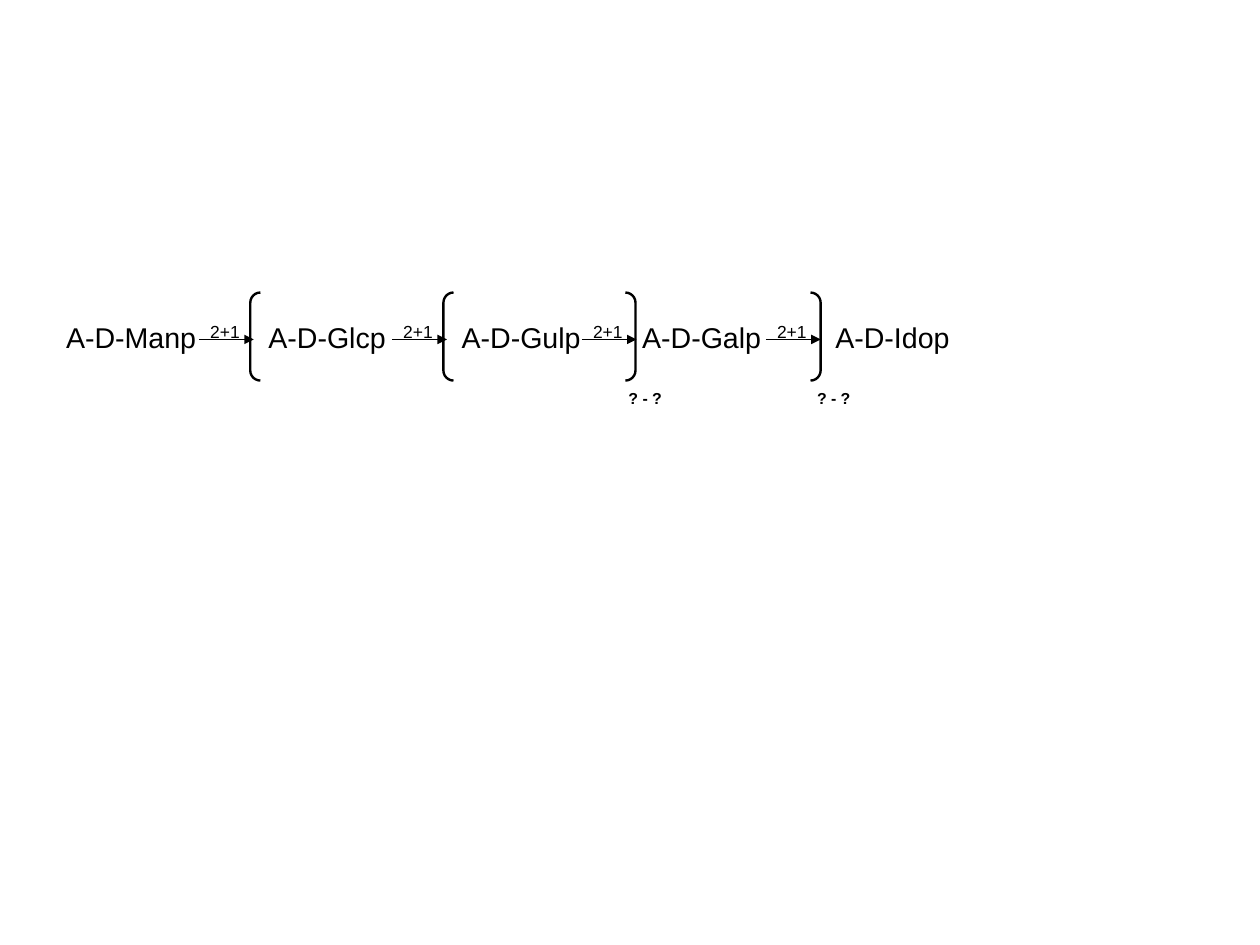
from lxml import etree
from pptx import Presentation
from pptx.dml.color import RGBColor
from pptx.enum import shapes, text
from pptx.oxml.ns import qn
from pptx.util import Cm, Inches, Pt

SUGARS = [
    ("A-D-Manp", 0.48, 1.4),
    ("A-D-Glcp", 2.25, 1.24),
    ("A-D-Gulp", 3.94, 1.28),
    ("A-D-Galp", 5.52, 1.26),
    ("A-D-Idop", 7.21, 1.25),
]
LINKAGE = "2+1"
LINKAGE_LEFTS = [1.74, 3.43, 5.09, 6.7]
REPEAT = "? - ?"
REPEAT_LEFTS = [5.4, 7.05]
BRACKETS = [(2.19, 3.37), (3.88, 3.3)]

BRACKET_TOP, BRACKET_HEIGHT = 2.56, 0.77
ARROW_Y, ARROW_LENGTH = 2.97, 0.48

THEME = {
    "ink": RGBColor(0, 0, 0),
    "font": "Arial",
    "sugar": {"size": Pt(18), "bold": False},
    "linkage": {"size": Pt(11), "bold": False},
    "repeat": {"size": Pt(10), "bold": True},
    "bracket_line": Pt(1.5),
    "arrow_line": Pt(0.75),
}


def add_label(slide, wording, left, top, width, height, style, wrap=False):
    box = slide.shapes.add_textbox(*map(Inches, (left, top, width, height)))
    frame = box.text_frame
    frame.word_wrap = wrap
    frame.auto_size = text.MSO_AUTO_SIZE.SHAPE_TO_FIT_TEXT
    run = frame.paragraphs[0].add_run()
    run.text = wording
    for name, value in {"name": THEME["font"], **THEME[style]}.items():
        setattr(run.font, name, value)
    run.font.color.rgb = THEME["ink"]


def format_line(shape, width):
    shape.line.color.rgb = THEME["ink"]
    shape.line.width = width


def add_bracket_pair(slide, left, width):
    box = map(Inches, (left, BRACKET_TOP, width, BRACKET_HEIGHT))
    bracket = slide.shapes.add_shape(shapes.MSO_SHAPE.DOUBLE_BRACKET, *box)
    bracket.adjustments[0] = 0.115
    bracket.shadow.inherit = False
    bracket.fill.background()
    format_line(bracket, THEME["bracket_line"])


def add_arrow(slide, left):
    ends = map(Inches, (left, ARROW_Y, left + ARROW_LENGTH, ARROW_Y))
    arrow = slide.shapes.add_connector(shapes.MSO_CONNECTOR.STRAIGHT, *ends)
    format_line(arrow, THEME["arrow_line"])
    etree.SubElement(arrow.line._get_or_add_ln(), qn("a:tailEnd"), type="triangle")
    etree.SubElement(arrow._element.spPr, qn("a:effectLst"))


def main():
    presentation = Presentation()
    presentation.slide_width = Cm(28)
    presentation.slide_height = Cm(21)
    slide = presentation.slides.add_slide(presentation.slide_layouts[6])

    for left, width in BRACKETS:
        add_bracket_pair(slide, left, width)
    for left in LINKAGE_LEFTS:
        add_arrow(slide, left)
        add_label(slide, LINKAGE, left, 2.76, 0.46, 0.31, "linkage")
    for name, left, width in SUGARS:
        add_label(slide, name, left, 2.75, width, 0.44, "sugar")
    for left in REPEAT_LEFTS:
        add_label(slide, REPEAT, left, 3.35, 0.65, 0.29, "repeat", wrap=True)

    presentation.save("out.pptx")


if __name__ == "__main__":
    main()
